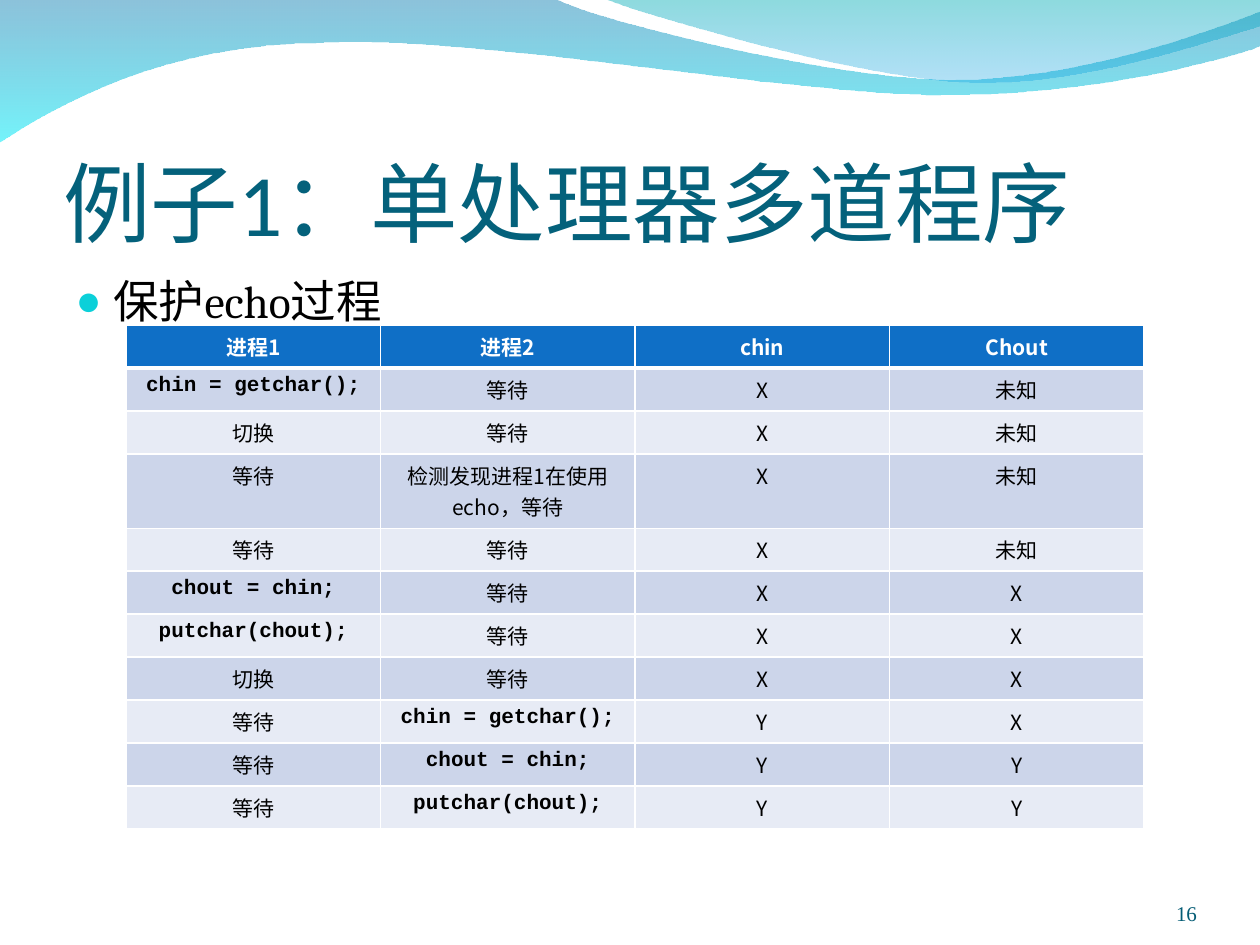
import lxml.etree
import pptx
import pptx.dml.color
import pptx.enum.text
import pptx.oxml.ns
import pptx.util
from dataclasses import dataclass

Inches = pptx.util.Inches
Pt = pptx.util.Pt
Color = pptx.dml.color.RGBColor.from_string
Align = pptx.enum.text.PP_ALIGN
Anchor = pptx.enum.text.MSO_ANCHOR
qn = pptx.oxml.ns.qn


@dataclass(frozen=True)
class Theme:
    title: str = "04617B"
    text: str = "000000"
    bullet: str = "0BD0D9"
    number: str = "045C75"
    header: str = "0F6FC6"
    white: str = "FFFFFF"
    bands: tuple = ("CCD5EA", "E7EBF5")
    title_font: str = "Calibri"
    body_font: str = "Cambria"
    code_font: str = "Courier New"
    number_font: str = "Times New Roman"
    chinese_font: str = "Noto Sans CJK SC"
    title_size: int = 50
    body_size: int = 26
    small_size: int = 12
    thin_line: float = 1
    thick_line: float = 3


THEME = Theme()

WAVES = [
    {
        "start": (0, -0.01),
        "segments": [
            [(4.4, -0.01)],
            [(4.76, 0.17), (6.64, 0.63), (7.58, 0.63)],
            [(8.53, 0.63), (9.58, 0.26), (10, 0.09)],
            [(10.01, 0.36)],
            [(9.83, 0.44), (8.7, 0.76), (7.46, 0.75)],
            [(6.22, 0.75), (3.82, 0.28), (2.57, 0.34)],
            [(1.29, 0.35), (0.46, 0.83), (-0.01, 1.13)],
            [(0, -0.01)],
        ],
        "stops": [("0079AF", 45), ("00EBF8", 55)],
    },
    {
        "start": (4.79, -0.01),
        "segments": [
            [(5.09, 0.11), (6.82, 0.62), (7.69, 0.65)],
            [(8.56, 0.69), (9.61, 0.32), (10, 0.21)],
            [(10, 0)],
            [(4.79, -0.01)],
        ],
        "stops": [("00ADB6", 45), ("009BE5", 30)],
    },
]

HEADERS = ["进程1", "进程2", "chin", "Chout"]
STEPS = [
    ["chin = getchar();", "等待", "X", "未知"],
    ["切换", "等待", "X", "未知"],
    ["等待", "检测发现进程1在使用echo，等待", "X", "未知"],
    ["等待", "等待", "X", "未知"],
    ["chout = chin;", "等待", "X", "X"],
    ["putchar(chout);", "等待", "X", "X"],
    ["切换", "等待", "X", "X"],
    ["等待", "chin = getchar();", "Y", "X"],
    ["等待", "chout = chin;", "Y", "Y"],
    ["等待", "putchar(chout);", "Y", "Y"],
]
TALL_ROW = 3
TALL_HEIGHT = 0.59


def apply(target, values):
    for name, value in values.items():
        setattr(target, name, value)


def add_element(parent, tag, **attributes):
    return lxml.etree.SubElement(parent, qn(tag), attributes)


def place(shape, box):
    apply(shape, dict(zip(("left", "top", "width", "height"), map(Inches, box))))


def set_margins(target, left, top, right, bottom):
    apply(target, {
        "margin_left": Inches(left), "margin_top": Inches(top),
        "margin_right": Inches(right), "margin_bottom": Inches(bottom),
    })


def write(paragraph, text, font, size, color, bold=False, align=Align.LEFT):
    paragraph.alignment = align
    run = paragraph.add_run()
    run.text = text
    apply(run.font, {"name": font, "size": Pt(size), "bold": bold})
    run.font.color.rgb = Color(color)
    add_element(run.font._element, "a:ea", typeface=THEME.chinese_font)


def add_curve(slide, start, segments):
    builder = slide.shapes.build_freeform(*map(Inches, start))
    points = [point for segment in segments for point in segment]
    builder.add_line_segments([tuple(map(Inches, point)) for point in points], close=True)
    shape = builder.convert_to_shape()
    lines = iter(list(shape.element.iter(qn("a:lnTo"))))
    for segment in segments:
        group = [next(lines) for point in segment]
        if len(group) == 3:
            curve = lxml.etree.Element(qn("a:cubicBezTo"))
            group[0].addprevious(curve)
            for line in group:
                curve.append(line[0])
                line.getparent().remove(line)
    return shape


def add_waves(slide):
    for index, wave in enumerate(WAVES):
        shape = add_curve(slide, wave["start"], wave["segments"])
        shape.shadow.inherit = False
        shape.line.fill.background()
        shape.fill.gradient()
        shape.fill.gradient_angle = 270
        for stop, (color, opacity) in zip(shape.fill.gradient_stops, wave["stops"]):
            stop.color.rgb = Color(color)
            for node in stop._gs.iter(qn("a:srgbClr")):
                add_element(node, "a:alpha", val=str(opacity * 1000))
        shape.element.getparent().insert(2 + index, shape.element)


def fill_title(shape, box):
    place(shape, box)
    frame = shape.text_frame
    apply(frame, {
        "vertical_anchor": Anchor.BOTTOM, "word_wrap": True,
        "auto_size": pptx.enum.text.MSO_AUTO_SIZE.NONE,
    })
    set_margins(frame, 0, 0.05, 0, 0)
    write(frame.paragraphs[0], "例子1：单处理器多道程序", THEME.title_font, THEME.title_size, THEME.title)


def fill_body(shape, box):
    place(shape, box)
    frame = shape.text_frame
    frame.auto_size = pptx.enum.text.MSO_AUTO_SIZE.NONE
    paragraph = frame.paragraphs[0]
    paragraph.space_before = Pt(0)
    properties = paragraph._p.get_or_add_pPr()
    for name, value in {"marL": 0.3, "indent": -0.3}.items():
        properties.set(name, str(Inches(value)))
    add_element(add_element(properties, "a:buClr"), "a:srgbClr", val=THEME.bullet)
    add_element(properties, "a:buSzPct", val="95000")
    add_element(properties, "a:buChar", char="●")
    write(paragraph, "保护echo过程", THEME.body_font, THEME.body_size, THEME.text)


def add_number(slide, box):
    frame = slide.shapes.add_textbox(*map(Inches, box)).text_frame
    apply(frame, {"word_wrap": True, "vertical_anchor": Anchor.BOTTOM})
    set_margins(frame, 0, 0, 0, 0)
    write(frame.paragraphs[0], "16", THEME.number_font, THEME.small_size, THEME.number, align=Align.RIGHT)


def set_borders(cell, widths):
    properties = cell._tc.get_or_add_tcPr()
    for index, (side, width) in enumerate(widths.items()):
        line = add_element(properties, "a:ln" + side, w=str(Pt(width)))
        add_element(add_element(line, "a:solidFill"), "a:srgbClr", val=THEME.white)
        properties.insert(index, line)


def add_process_table(slide, box):
    rows = [HEADERS, *STEPS]
    table = slide.shapes.add_table(len(rows), len(HEADERS), *map(Inches, box)).table
    row_height = (box[3] - TALL_HEIGHT) / len(STEPS)
    for column in table.columns:
        column.width = Inches(box[2] / len(HEADERS))
    for row, texts in enumerate(rows):
        table.rows[row].height = Inches(TALL_HEIGHT if row == TALL_ROW else row_height)
        for column, text in enumerate(texts):
            cell = table.cell(row, column)
            is_header, is_code = row == 0, text.endswith(";")
            set_margins(cell, 0.1, 0.05, 0.1, 0.05)
            cell.fill.solid()
            cell.fill.fore_color.rgb = Color(THEME.header if is_header else THEME.bands[(row - 1) % 2])
            set_borders(cell, {
                "L": THEME.thin_line, "R": THEME.thin_line,
                "T": THEME.thick_line if row == 1 else THEME.thin_line,
                "B": THEME.thick_line if is_header else THEME.thin_line,
            })
            write(cell.text_frame.paragraphs[0], text,
                  THEME.code_font if is_code else THEME.chinese_font, THEME.small_size,
                  THEME.white if is_header else THEME.text, is_header or is_code, Align.CENTER)


def main():
    presentation = pptx.Presentation()
    apply(presentation, {"slide_width": Inches(10), "slide_height": Inches(7.5)})
    slide = presentation.slides.add_slide(presentation.slide_layouts[1])
    add_waves(slide)
    fill_title(slide.shapes.title, (0.5, 0.77, 9, 1.25))
    fill_body(slide.placeholders[1], (0.5, 2.12, 9, 4.8))
    add_number(slide, (8.67, 6.95, 0.83, 0.4))
    add_process_table(slide, (1, 2.58, 8.08, 4))
    presentation.save("out.pptx")


if __name__ == "__main__":
    main()
